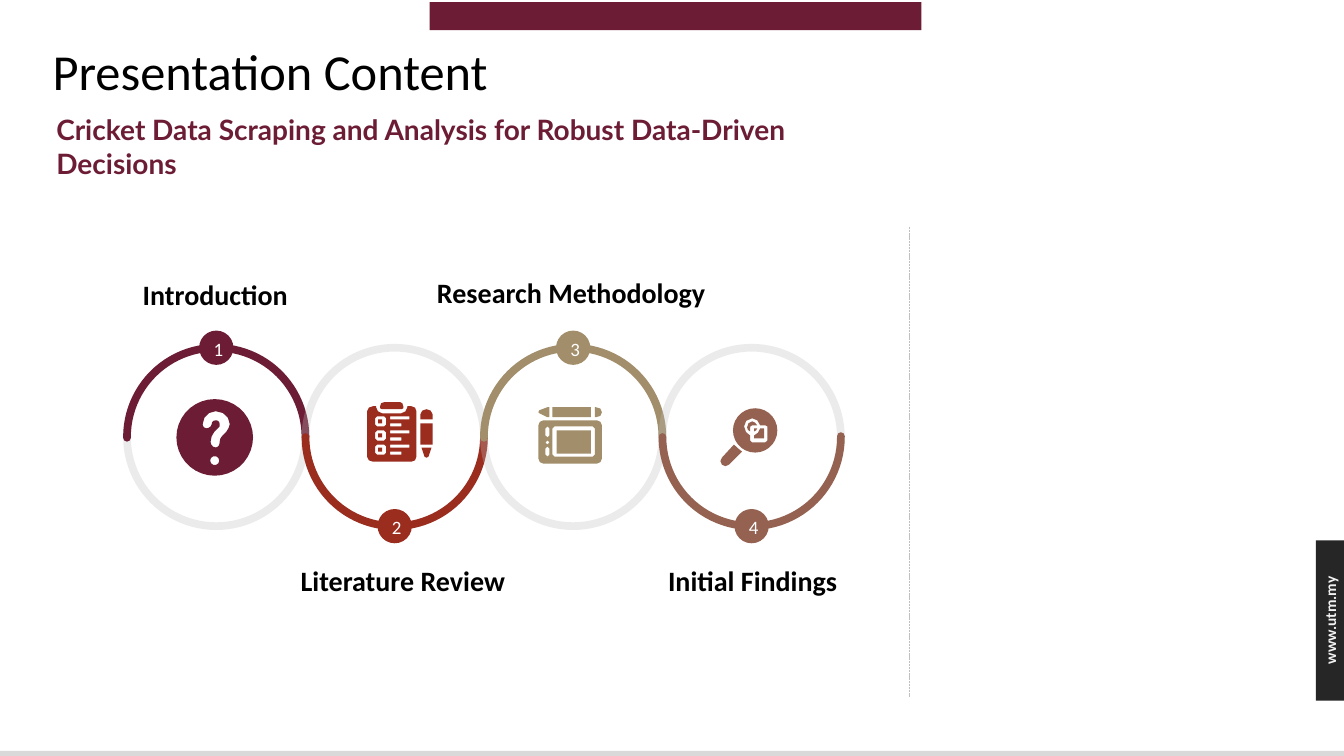
from math import cos, pi, sin

from lxml.etree import SubElement
from pptx import Presentation
from pptx.dml.color import RGBColor
from pptx.enum.dml import MSO_LINE
from pptx.enum.shapes import MSO_CONNECTOR, MSO_SHAPE
from pptx.enum.text import MSO_ANCHOR, PP_ALIGN
from pptx.oxml.ns import qn
from pptx.util import Inches, Pt

WINE, RUST, SAND, CLAY = "6C1D35", "9B2D1F", "A28E6A", "956251"
GREY = "BFBFBF"

BARS = [
    ((4.26, 0.02, 4.88, 0.28), WINE),
    ((0, 7.45, 13.33, 0.05), "D9D9D9"),
    ((13.05, 5.36, 0.28, 1.59), "262626"),
]
TITLE = "Presentation Content"
TOPIC = "Cricket Data Scraping and Analysis for Robust Data-Driven Decisions"
SITE = "www.utm.my"

STEPS = [
    ("Introduction", WINE, (1.31, 2.7, 1.65, 0.44)),
    ("Literature Review", RUST, (2.87, 5.54, 2.25, 0.44)),
    ("Research Methodology", SAND, (4.22, 2.68, 2.89, 0.44)),
    ("Initial Findings", CLAY, (6.52, 5.54, 1.89, 0.44)),
]
LEFT, TOP, RING, BADGE = 1.26, 3.45, 1.77, 0.34


def curve(a, b, c, d, n):
    for i in range(1, n + 1):
        t = i / n
        u = 1 - t
        yield tuple(
            u**3 * p + 3 * u * u * t * q + 3 * u * t * t * r + t**3 * s
            for p, q, r, s in zip(a, b, c, d)
        )


def trace(*steps, n=2):
    out = []
    for s in steps:
        if len(s) == 2:
            out.append(s)
        else:
            out.extend(curve(out[-1], s[:2], s[2:4], s[4:], n))
    return out


def disc(x, y, r, n):
    turns = [2 * pi * i / n for i in range(n)]
    return [(x + r * cos(t), y + r * sin(t)) for t in turns]


def box(l, t, r, b, rad=0, n=1):
    if not rad:
        return [(l, t), (r, t), (r, b), (l, b)]
    spots = [(r - rad, b - rad), (l + rad, b - rad), (l + rad, t + rad), (r - rad, t + rad)]
    return [
        (x + rad * cos(a), y + rad * sin(a))
        for q, (x, y) in enumerate(spots)
        for a in [(q + i / n) * pi / 2 for i in range(n + 1)]
    ]


HOOK = trace(
    (2.14, 4.08), (2.22, 4.08, 2.28, 4.14, 2.28, 4.21), (2.27, 4.25, 2.25, 4.29, 2.21, 4.32),
    (2.2, 4.33, 2.18, 4.35, 2.18, 4.38), (2.18, 4.39), (2.18, 4.42, 2.16, 4.44, 2.14, 4.44),
    (2.11, 4.44, 2.09, 4.41, 2.09, 4.39), (2.09, 4.38), (2.09, 4.33, 2.12, 4.28, 2.17, 4.24),
    (2.18, 4.24, 2.18, 4.22, 2.18, 4.21), (2.18, 4.18, 2.16, 4.17, 2.14, 4.17),
    (2.11, 4.17, 2.1, 4.19, 2.1, 4.21), (2.1, 4.23, 2.07, 4.25, 2.05, 4.25),
    (2.03, 4.25, 2.01, 4.23, 2.01, 4.21), (2.01, 4.14, 2.07, 4.08, 2.14, 4.08), n=3,
)
CLIP = [(3.81, 3.99), (3.78, 4), (3.77, 4.03), (3.77, 4.05), (3.79, 4.06),
        (3.98, 4.06), (4, 4.05), (4, 4.03), (3.99, 4), (3.97, 3.99)]
BOARD = trace(
    (3.7, 4.03), (3.67, 4.03, 3.64, 4.05, 3.64, 4.08), (3.64, 4.53),
    (3.64, 4.56, 3.67, 4.58, 3.7, 4.58), (4.08, 4.58), (4.11, 4.58, 4.13, 4.56, 4.13, 4.53),
    (4.13, 4.08), (4.13, 4.05, 4.11, 4.03, 4.08, 4.03), (4.04, 4.03), (4.04, 4.04),
    (4.04, 4.07, 4.01, 4.1, 3.98, 4.1), (3.79, 4.1), (3.76, 4.1, 3.73, 4.07, 3.73, 4.04),
    (3.73, 4.03),
)
ROWS = (4.13, 4.27, 4.41)
CHECKS = [box(3.72, y, 3.83, y + 0.1, 0.02) for y in ROWS]
TICKS = [box(3.75, y + 0.03, 3.79, y + 0.07) for y in ROWS]
NOTES = [
    box(3.87, 4.13 + 0.07 * i, 3.98 if i % 2 else 4.06, 4.16 + 0.07 * i) for i in range(6)
]
CAP = trace(
    (4.17, 4.16), (4.17, 4.11), (4.17, 4.08, 4.2, 4.06, 4.23, 4.06),
    (4.26, 4.06, 4.29, 4.08, 4.29, 4.11), (4.29, 4.16),
)
NIB = [(4.18, 4.44), (4.21, 4.53), (4.23, 4.54), (4.25, 4.53), (4.28, 4.44)]
TIP = [(5.43, 4.04), (5.35, 4.07), (5.34, 4.09), (5.35, 4.1), (5.43, 4.14),
       (5.45, 4.14), (5.45, 4.04)]
END = trace(
    (5.9, 4.04), (5.9, 4.14), (5.91, 4.14), (5.95, 4.14, 5.97, 4.12, 5.97, 4.09),
    (5.97, 4.06, 5.95, 4.04, 5.91, 4.04),
)
KEYS = [box(5.41, t, 5.45, b, 0.02) for t, b in ((4.23, 4.34), (4.37, 4.41), (4.43, 4.53))]
GRIP = trace(
    (7.28, 4.41), (7.16, 4.54), (7.14, 4.56, 7.14, 4.59, 7.16, 4.61),
    (7.18, 4.63, 7.21, 4.63, 7.23, 4.61), (7.36, 4.48), (7.33, 4.46, 7.3, 4.43, 7.28, 4.41),
)
WEDGE = [(7.48, 4.25), (7.48, 4.28), (7.5, 4.27), (7.51, 4.25)]
MOON = trace(
    (7.46, 4.18), (7.43, 4.18, 7.41, 4.21, 7.41, 4.24), (7.41, 4.26, 7.42, 4.27, 7.44, 4.28),
    (7.44, 4.24), (7.44, 4.23, 7.45, 4.22, 7.46, 4.22), (7.51, 4.22),
    (7.5, 4.2, 7.48, 4.18, 7.46, 4.18),
)
PANE = trace(
    (7.54, 4.25), (7.53, 4.28, 7.51, 4.31, 7.48, 4.32), (7.48, 4.35), (7.58, 4.35), (7.58, 4.25)
)
HOLE = trace(
    (7.46, 4.15), (7.5, 4.15, 7.53, 4.18, 7.54, 4.22), (7.59, 4.22), (7.61, 4.23),
    (7.61, 4.37), (7.59, 4.39), (7.46, 4.39), (7.44, 4.37), (7.44, 4.32),
    (7.41, 4.31, 7.38, 4.27, 7.38, 4.23), (7.38, 4.19, 7.41, 4.15, 7.46, 4.15),
)
ICONS = [
    [disc(2.13, 4.34, 0.38, 36), HOOK, disc(2.13, 4.57, 0.045, 10)],
    [CLIP, BOARD, *CHECKS, *TICKS, *NOTES, box(4.17, 4.2, 4.29, 4.41), CAP, NIB],
    [box(5.48, 4.04, 5.86, 4.14), TIP, END, box(5.34, 4.17, 5.97, 4.6, 0.05, 2),
     box(5.48, 4.23, 5.9, 4.53, 0.02), box(5.52, 4.27, 5.86, 4.5), *KEYS],
    [GRIP, disc(7.49, 4.27, 0.22, 28), HOLE, WEDGE, MOON, PANE],
]

deck = Presentation()
deck.slide_width, deck.slide_height = Inches(13.33), Inches(7.5)
shapes = deck.slides.add_slide(deck.slide_layouts[6]).shapes


def paint(part, color):
    part.fill.solid()
    part.fill.fore_color.rgb = RGBColor.from_string(color)


def shape(kind, at, fill=None, line=None, width=5.5):
    item = shapes.add_shape(kind, *map(Inches, at))
    item.shadow.inherit = False
    if fill:
        paint(item, fill)
    else:
        item.fill.background()
    if line:
        paint(item.line, line)
        item.line.width = Pt(width)
    else:
        item.line.fill.background()
    return item


def write(text, at=None, item=None, size=20, color="000000", bold=False, font="Calibri",
          align=PP_ALIGN.CENTER, anchor=MSO_ANCHOR.TOP, wrap=False, pad=(0.1, 0.05, 0.1, 0.05),
          space=None, turn=0):
    item = item or shapes.add_textbox(*map(Inches, at))
    item.rotation = turn
    frame = item.text_frame
    frame.word_wrap, frame.vertical_anchor = wrap, anchor
    (frame.margin_left, frame.margin_top, frame.margin_right,
     frame.margin_bottom) = map(Inches, pad)
    para = frame.paragraphs[0]
    para.text, para.alignment, para.line_spacing = text, align, space
    face = para.font
    face.name, face.size, face.bold = font, Pt(size), bold
    face.color.rgb = RGBColor.from_string(color)


def draw(icon, color):
    loops = [[(Inches(x), Inches(y)) for x, y in loop] for loop in icon]
    pen = shapes.build_freeform(*loops[0][0])
    pen.add_line_segments(loops[0][1:])
    for loop in loops[1:]:
        pen.move_to(*loop[0])
        pen.add_line_segments(loop[1:])
    item = pen.convert_to_shape()
    item.shadow.inherit = False
    paint(item, color)
    item.line.fill.background()


for at, color in BARS:
    shape(MSO_SHAPE.RECTANGLE, at, color)
write(SITE, (12.44, 6.01, 1.51, 0.29), size=11, color="F2F2F2", bold=True, turn=270)
write(TITLE, (-3.07, 0.55, 11.5, 0.91), size=36, anchor=MSO_ANCHOR.MIDDLE, wrap=True,
      pad=(0.1, 0, 0.1, 0.54), space=0.9)

for i, (name, color, at) in enumerate(STEPS):
    spot = (LEFT + i * RING, TOP, RING, RING)
    ring = shape(MSO_SHAPE.OVAL, spot, line=GREY)
    tint = ring._element.spPr.find(qn("a:ln")).find(qn("a:solidFill"))[0]
    SubElement(tint, qn("a:alpha"), val="30000")
    arc = shape(MSO_SHAPE.ARC, spot, line=color)
    arc.adjustments[0], arc.adjustments[1] = 107.66, 0
    arc.rotation = 180 * (i % 2)
    arc._element.spPr.find(qn("a:ln")).set("cap", "rnd")

for i, (name, color, at) in enumerate(STEPS):
    x = LEFT + (i + 0.5) * RING - BADGE / 2
    y = TOP + (i % 2) * RING - BADGE / 2
    badge = shape(MSO_SHAPE.OVAL, (x, y, BADGE, BADGE), color)
    write(str(i + 1), item=badge, size=13.5, color="FFFFFF", anchor=MSO_ANCHOR.MIDDLE,
          pad=(0.04, 0.02, 0, 0))
    write(name, at, bold=True)

rule = shapes.add_connector(MSO_CONNECTOR.STRAIGHT, *map(Inches, (9.02, 2.25, 9.02, 6.91)))
paint(rule.line, GREY)
rule.line.width, rule.line.dash_style = Pt(0.5), MSO_LINE.SQUARE_DOT
SubElement(rule._element.spPr, qn("a:effectLst"))
write(TOPIC, (0.46, 1.07, 8.05, 0.77), color=WINE, bold=True, font="Lato",
      align=PP_ALIGN.LEFT, wrap=True)
for icon, step in zip(ICONS, STEPS):
    draw(icon, step[1])

deck.save("out.pptx")
